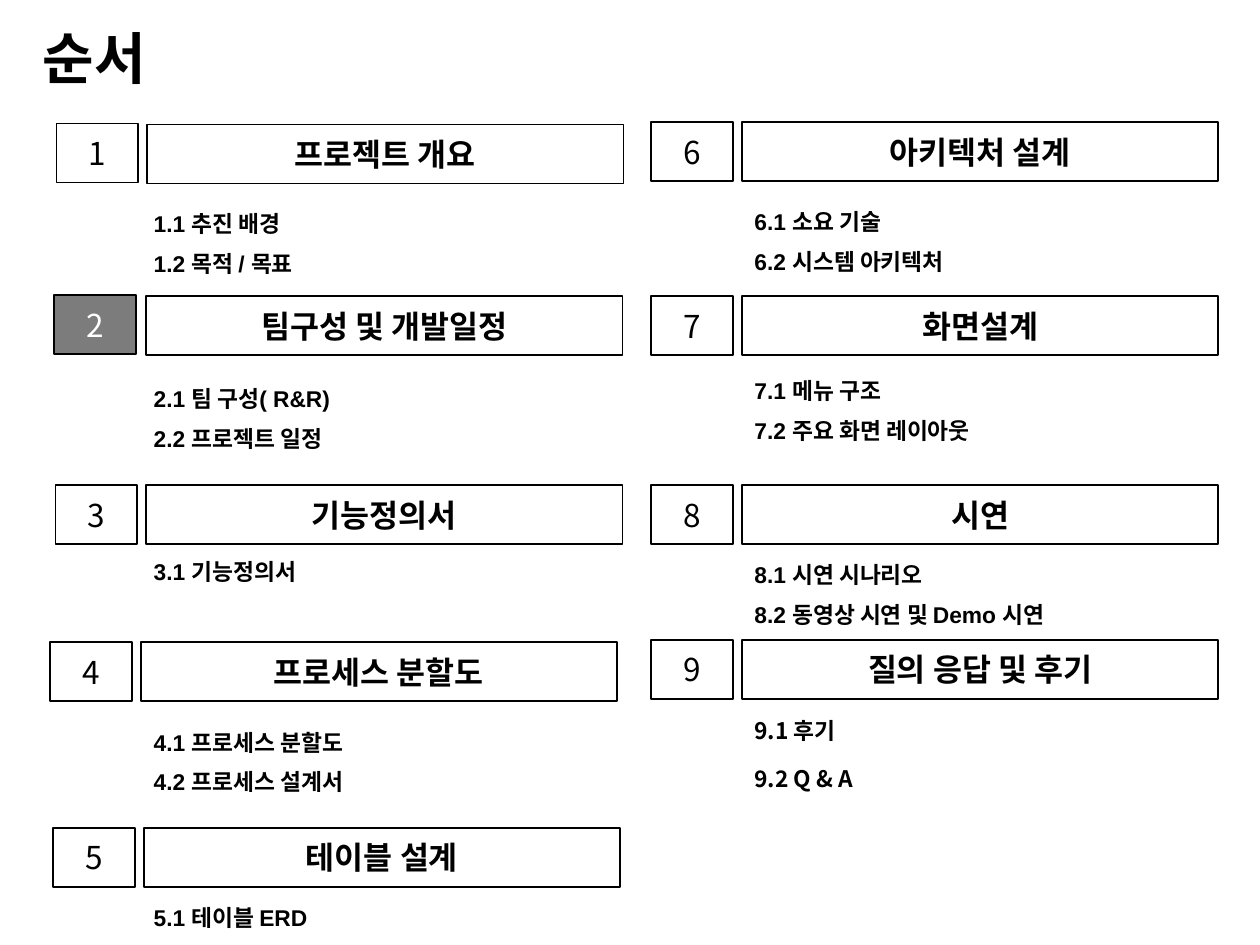
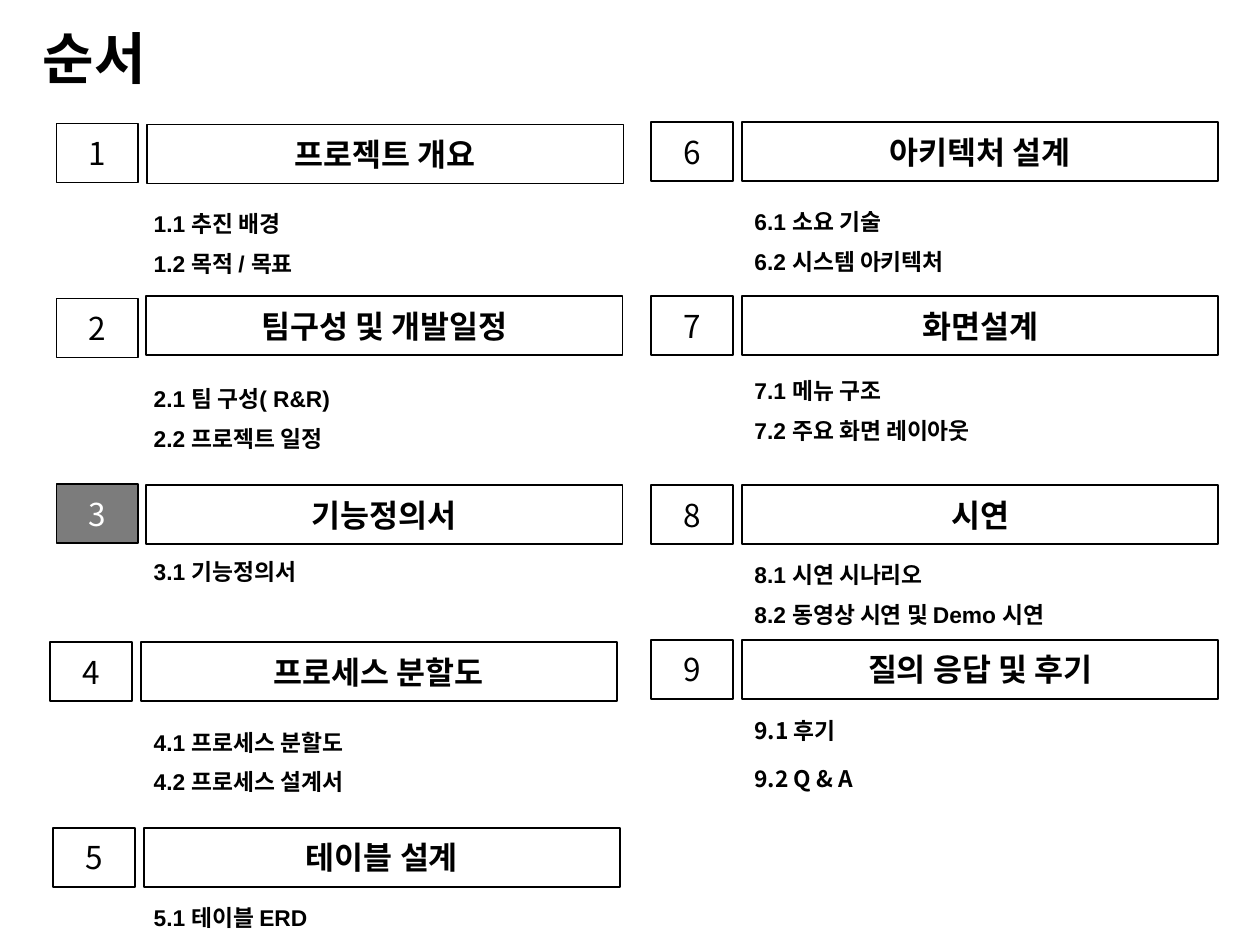
from dataclasses import dataclass

from lxml.etree import SubElement
from pptx import Presentation
from pptx.dml.color import RGBColor as RGB
from pptx.enum.shapes import MSO_SHAPE as SHAPE
from pptx.enum.text import MSO_ANCHOR as ANCHOR, MSO_AUTO_SIZE as AUTO, PP_ALIGN as ALIGN
from pptx.oxml.ns import qn
from pptx.util import Cm, Pt


@dataclass(frozen=True)
class Theme:
    ink: RGB = RGB(0x00, 0x00, 0x00)
    paper: RGB = RGB(0xFF, 0xFF, 0xFF)
    active: RGB = RGB(0x7C, 0x7C, 0x7C)
    sans: str = "Arial"
    korean: str = "Noto Sans CJK KR"
    title: int = 32
    heading: int = 18
    item: int = 13


@dataclass(frozen=True)
class Section:
    heading: str
    x: float          # left edge of the heading bar
    y: float          # top edge of the heading bar
    lists: tuple      # (top, lines, format) for each block of items


# Agenda content, lengths in cm
LEFT, RIGHT = 3.05, 15.16
BAR_W, BADGE_W, BAR_H, BADGE_STEP = 9.6, 1.65, 1.19, 1.83
KOREAN = {"font": Theme.korean}

SECTIONS = (
    Section("프로젝트 개요", 2.97, 2.51,
            ((3.99, ("1.1 추진 배경", "1.2 목적 / 목표"), {}),)),
    Section("팀구성 및 개발일정", 2.95, 5.97,
            ((7.52, ("2.1 팀 구성( R&R)", "2.2 프로젝트 일정"), {}),)),
    Section("기능정의서", 2.95, 9.78,
            ((11.0, ("3.1 기능정의서",), {}),)),
    Section("프로세스 분할도", 2.84, 12.95,
            ((14.45, ("4.1 프로세스 분할도", "4.2 프로세스 설계서"), {}),)),
    Section("테이블 설계", 2.9, 16.69,
            ((17.98, ("5.1 테이블 ERD",), {}),)),
    Section("아키텍처 설계", 14.96, 2.46,
            ((3.96, ("6.1 소요 기술", "6.2 시스템 아키텍처"), {}),)),
    Section("화면설계", 14.96, 5.97,
            ((7.37, ("7.1 메뉴 구조", "7.2 주요 화면 레이아웃"), {}),)),
    Section("시연", 14.96, 9.78,
            ((11.07, ("8.1 시연 시나리오", "8.2 동영상 시연 및 Demo 시연"), {}),)),
    Section("질의 응답 및 후기", 14.96, 12.9,
            ((14.33, ("9.1 후기",), {**KOREAN, "spacing": 1.0}),
             (15.19, ("9.2 Q & A",), KOREAN))),
)


def write(p, text, *, size, color, font, bold=False, align=ALIGN.LEFT,
          spacing=1.0, before=0, east_asian=Theme.korean):
    """Put one formatted run into a paragraph."""
    p.alignment = align
    p.line_spacing = spacing
    if before:
        p.space_before = Pt(before)
    r = p.add_run()
    r.text = text
    r.font.size, r.font.bold, r.font.name = Pt(size), bold, font
    r.font.color.rgb = color
    SubElement(r.font._element, qn("a:ea")).set("typeface", east_asian)


class Deck:
    def __init__(self, theme):
        self.theme = theme
        self.prs = Presentation()
        self.prs.slide_width, self.prs.slide_height = Cm(25.4), Cm(19.05)
        self.s = None

    def slide(self, title):
        """Start a slide and format its title placeholder."""
        t = self.theme
        self.s = self.prs.slides.add_slide(self.prs.slide_layouts[5])
        sp = self.s.shapes.title
        sp.left, sp.top, sp.width, sp.height = Cm(0.61), Cm(0.38), Cm(2.84), Cm(1.7)
        tf = sp.text_frame
        tf.vertical_anchor, tf.auto_size = ANCHOR.MIDDLE, AUTO.NONE
        write(tf.paragraphs[0], title, size=t.title, color=t.ink,
              font=t.korean, bold=True, spacing=0.9)

    def box(self, text, x, y, width, *, bold=False, fill=None):
        """Draw an outlined box with centred text."""
        t = self.theme
        sp = self.s.shapes.add_shape(SHAPE.RECTANGLE, Cm(x), Cm(y), Cm(width), Cm(BAR_H))
        sp.shadow.inherit = False
        sp.line.color.rgb, sp.line.width = t.ink, Pt(1)
        if fill is None:
            sp.fill.background()
        else:
            sp.fill.solid()
            sp.fill.fore_color.rgb = fill
        tf = sp.text_frame
        tf.vertical_anchor = ANCHOR.MIDDLE
        write(tf.paragraphs[0], text, size=t.heading, font=t.korean, bold=bold,
              color=t.ink if fill is None else t.paper, align=ALIGN.CENTER)

    def items(self, lines, x, y, *, font=Theme.sans, spacing=1.2):
        """Write the items under a heading."""
        t = self.theme
        sp = self.s.shapes.add_textbox(Cm(x), Cm(y), Cm(9.5), Cm(0.91 + 1.0 * (len(lines) - 1)))
        tf = sp.text_frame
        tf.word_wrap, tf.auto_size = True, AUTO.SHAPE_TO_FIT_TEXT
        tf.margin_left = tf.margin_right = Cm(0.05)
        for i, line in enumerate(lines):
            p = tf.add_paragraph() if i else tf.paragraphs[0]
            write(p, line, size=t.item, color=t.ink, font=font, bold=True,
                  align=ALIGN.JUSTIFY, spacing=spacing, before=4 if i else 0)

    def agenda(self, active, badge_shift):
        """Lay out all sections; the active one has a filled badge."""
        self.slide("순서")
        for number, section in enumerate(SECTIONS, 1):
            dx, dy = badge_shift.get(number, (0, 0))
            self.box(section.heading, section.x, section.y, BAR_W, bold=True)
            self.box(str(number), section.x - BADGE_STEP + dx, section.y + dy, BADGE_W,
                     fill=self.theme.active if number == active else None)
            list_x = LEFT if section.x < RIGHT / 2 else RIGHT
            for top, lines, style in section.lists:
                self.items(lines, list_x, top, **style)


def main():
    deck = Deck(Theme())
    # Each slide marks the section that comes next
    deck.agenda(active=2, badge_shift={1: (0, -0.02), 2: (-0.03, -0.02)})
    deck.agenda(active=3, badge_shift={1: (0, -0.02), 2: (0.02, 0.05), 3: (0.02, -0.02)})
    deck.prs.save("out.pptx")


if __name__ == "__main__":
    main()
